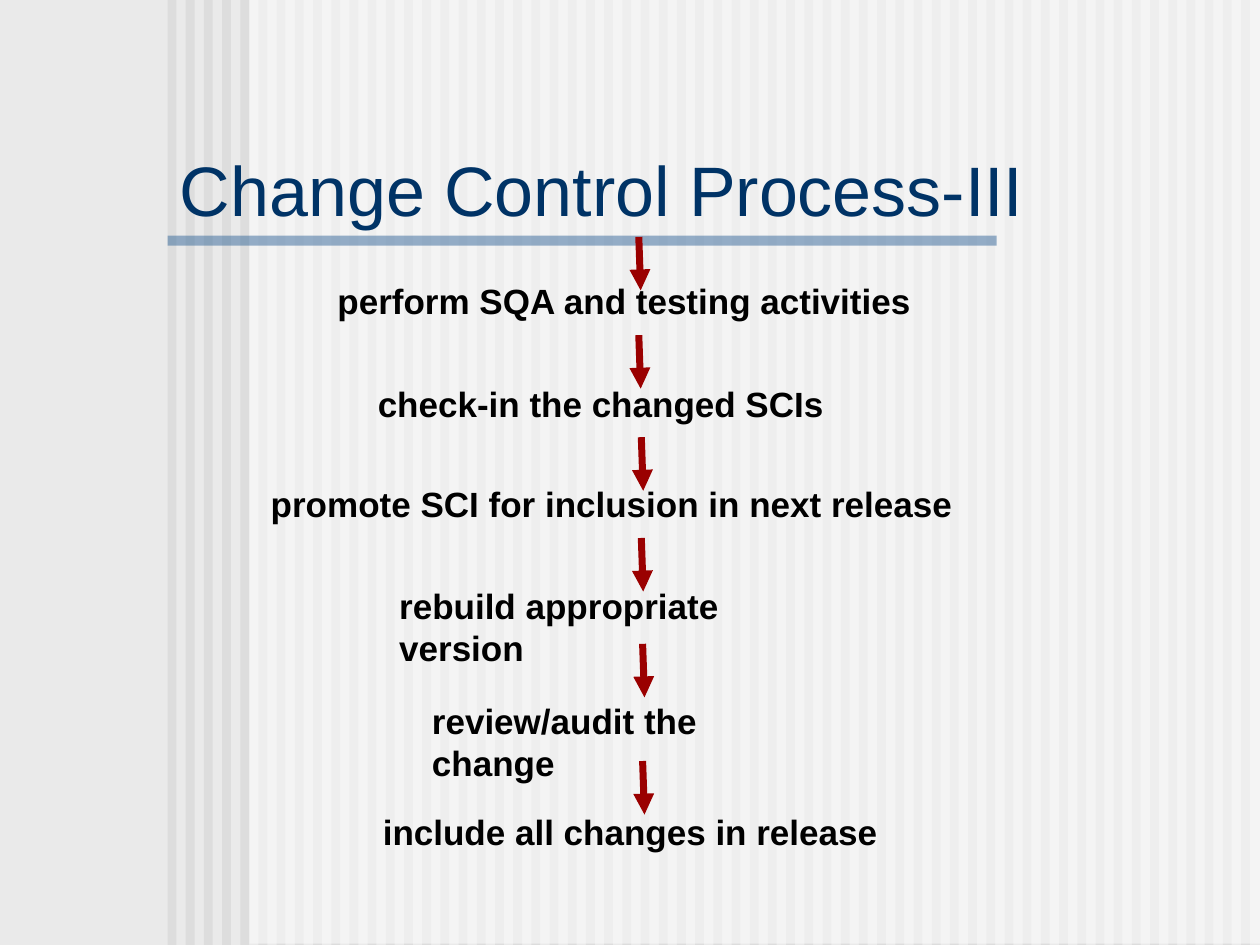
import pptx
import pptx.util
import pptx.dml.color
import pptx.enum.shapes
import pptx.enum.text
import pptx.oxml.ns
from lxml import etree

Inches = pptx.util.Inches

# Content: each step with its left, top and width; each arrow with its start
TITLE = "Change Control Process-III"
STEPS = [
    ("perform SQA and testing activities", 2.58, 2.17, 4.76),
    ("check-in the changed SCIs", 2.9, 2.99, 3.74),
    ("promote SCI for inclusion in next release", 2.05, 3.78, 5.61),
    ("rebuild appropriate version", 3.07, 4.59, 3.8),
    ("review/audit the change", 3.33, 5.5, 3.35),
    ("include all changes in release", 2.94, 6.38, 4.13),
]
ARROWS = [(5.07, 1.88), (5.07, 2.66), (5.09, 3.47),
          (5.09, 4.27), (5.1, 5.11), (5.1, 6.04)]
ARROW_RUN, ARROW_DROP = 0.015, 0.425

# Format
COLORS = {"background": "EAEAEA", "stripe": "DDDDDD", "veil": "FFFFFF",
          "rule": "336699", "title": "003366", "step": "000000",
          "arrow": "9A0000"}
TITLE_FONT = {"name": "Arial", "size": pptx.util.Pt(40), "bold": False}
STEP_FONT = {"name": "Arial", "size": pptx.util.Pt(20), "bold": True}
WIDTH, HEIGHT = 10, 7.5
MARGIN = 1.33
STRIPE_COUNT, STRIPE_WIDTH, LAST_STRIPE = 60, 0.07, 9.85
STEP_HEIGHT = 0.43


def color(key):
    return pptx.dml.color.RGBColor.from_string(COLORS[key])


def add_drawing_element(parent, tag, **attributes):
    return etree.SubElement(parent, pptx.oxml.ns.qn(tag), attributes)


def add_bar(slide, key, left, top, width, height, opacity=None):
    shape = slide.shapes.add_shape(
        pptx.enum.shapes.MSO_SHAPE.RECTANGLE,
        *map(Inches, (left, top, width, height)))
    shape.shadow.inherit = False
    shape.line.fill.background()
    shape.fill.solid()
    shape.fill.fore_color.rgb = color(key)
    if opacity is not None:
        fill_color = shape.element.spPr.find(".//" + pptx.oxml.ns.qn("a:srgbClr"))
        add_drawing_element(fill_color, "a:alpha", val=str(opacity * 1000))


def add_text(slide, text, key, font_format, frame_format, *box):
    frame = slide.shapes.add_textbox(*map(Inches, box)).text_frame
    for name, value in frame_format.items():
        setattr(frame, name, value)
    paragraph = frame.paragraphs[0]
    run = paragraph.add_run()
    run.text = text
    for name, value in font_format.items():
        setattr(run.font, name, value)
    run.font.color.rgb = color(key)


def add_arrow(slide, left, top):
    connector = slide.shapes.add_connector(
        pptx.enum.shapes.MSO_CONNECTOR.STRAIGHT,
        *map(Inches, (left, top, left + ARROW_RUN, top + ARROW_DROP)))
    connector.line.color.rgb = color("arrow")
    connector.line.width = pptx.util.Pt(4)
    add_drawing_element(connector.line._get_or_add_ln(), "a:tailEnd", type="triangle")
    add_drawing_element(connector._element.spPr, "a:effectLst")


def main():
    presentation = pptx.Presentation()
    presentation.slide_width = Inches(WIDTH)
    presentation.slide_height = Inches(HEIGHT)
    slide = presentation.slides.add_slide(presentation.slide_layouts[6])
    slide.background.fill.solid()
    slide.background.fill.fore_color.rgb = color("background")

    # Striped backdrop, veil and title rule
    pitch = (LAST_STRIPE - MARGIN) / (STRIPE_COUNT - 1)
    for index in range(STRIPE_COUNT):
        add_bar(slide, "stripe", MARGIN + index * pitch, 0, STRIPE_WIDTH, HEIGHT)
    add_bar(slide, "veil", 1.98, -0.01, WIDTH - 1.98, HEIGHT, opacity=50)
    add_bar(slide, "rule", MARGIN, 1.87, 6.58, 0.08, opacity=50)

    # Title
    title_frame = {"word_wrap": True,
                   "vertical_anchor": pptx.enum.text.MSO_ANCHOR.MIDDLE}
    add_text(slide, TITLE, "title", TITLE_FONT, title_frame,
             MARGIN, 1.17, 7.08, 0.65)

    # Process steps and the arrows leading to them
    step_frame = {"word_wrap": False,
                  "auto_size": pptx.enum.text.MSO_AUTO_SIZE.SHAPE_TO_FIT_TEXT}
    for text, left, top, width in STEPS:
        add_text(slide, text, "step", STEP_FONT, step_frame,
                 left, top, width, STEP_HEIGHT)
    for left, top in ARROWS:
        add_arrow(slide, left, top)

    presentation.save("out.pptx")


if __name__ == "__main__":
    main()
